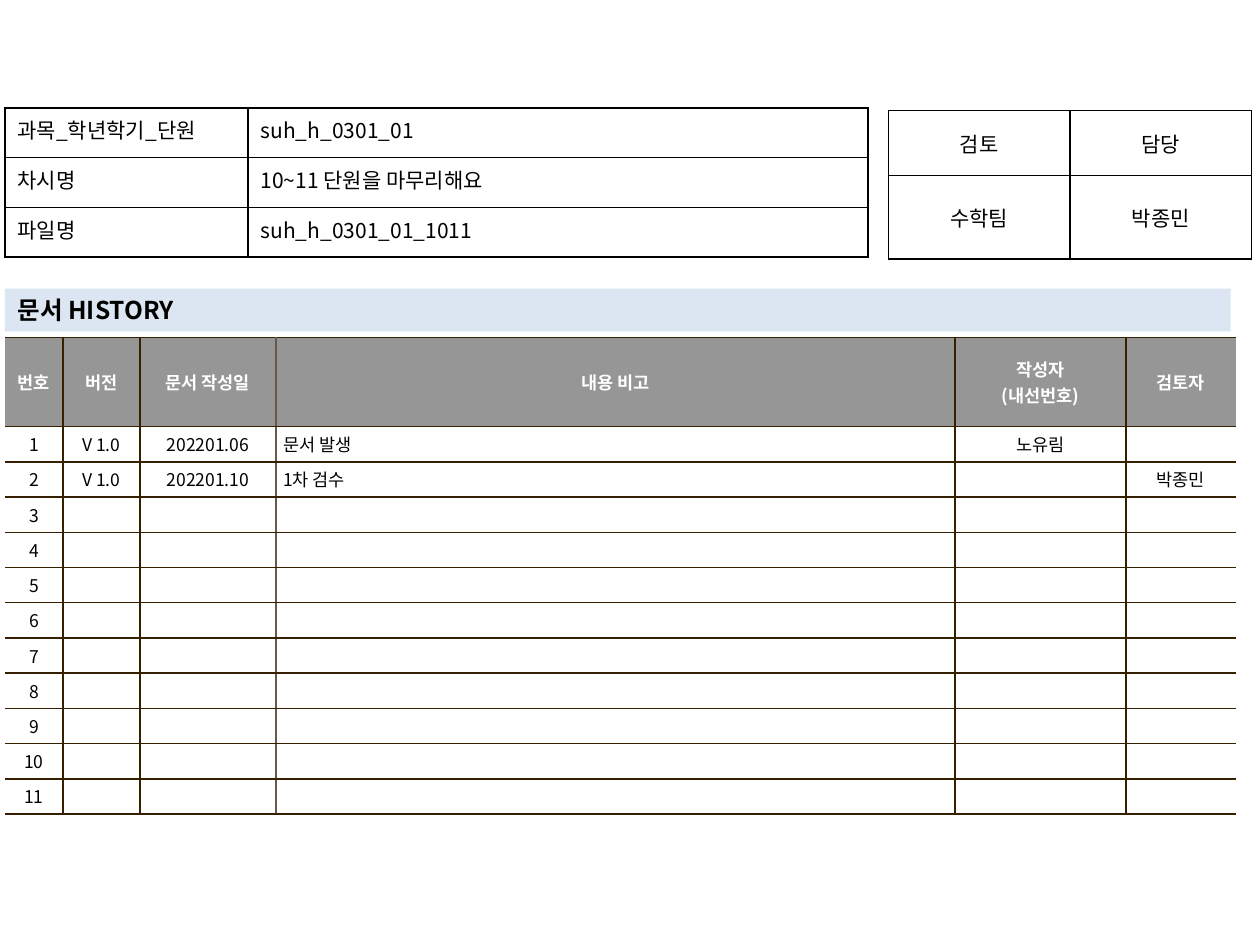
from pptx import Presentation
from pptx.dml.color import RGBColor
from pptx.enum.text import MSO_ANCHOR, MSO_AUTO_SIZE, PP_ALIGN
from pptx.oxml.ns import qn
from pptx.util import Cm, Pt
from lxml.etree import SubElement

FONT = "Noto Sans CJK KR"
BLACK = RGBColor(0x00, 0x00, 0x00)
WHITE = RGBColor(0xFF, 0xFF, 0xFF)
GRAY = RGBColor(0x96, 0x96, 0x96)
PALE_BLUE = RGBColor(0xDC, 0xE6, 0xF2)
BROWN = RGBColor(0x36, 0x20, 0x00)
TAUPE = RGBColor(0x64, 0x5B, 0x4C)

INFO = [
    ["과목_학년학기_단원", "suh_h_0301_01"],
    ["차시명", "10~11 단원을 마무리해요"],
    ["파일명", "suh_h_0301_01_1011"],
]
APPROVAL = [["검토", "담당"], ["수학팀", "박종민"]]
HEADER = ["번호", "버전", "문서 작성일", "내용 비고", "작성자\n(내선번호)", "검토자"]
ENTRIES = [
    ["V 1.0", "202201.06", "문서 발생", "노유림", ""],
    ["V 1.0", "202201.10", "1차 검수", "", "박종민"],
]
ENTRY_COUNT = 11
NOTE_COL = 3


def add_run(p, text, size, color=BLACK, bold=False):
    """Add one formatted run to a paragraph."""
    r = p.add_run()
    r.text = text
    r.font.size = Pt(size)
    r.font.name = FONT
    r.font.bold = bold
    r.font.color.rgb = color
    SubElement(r.font._element, qn("a:ea"), typeface=FONT)


def write_cell(cell, text, size, align, color=BLACK, bold=False):
    """Write the lines of a cell, keeping the text size when it is empty."""
    tf = cell.text_frame
    if not text:
        SubElement(tf.paragraphs[0]._p, qn("a:endParaRPr"), sz=str(size * 100))
        return
    for i, line in enumerate(text.split("\n")):
        p = tf.add_paragraph() if i else tf.paragraphs[0]
        p.alignment = align
        add_run(p, line, size, color, bold)


def set_borders(cell, left, right, top, bottom):
    """Draw the four cell borders, leaving out those without a colour."""
    tc_pr = cell._tc.get_or_add_tcPr()
    for side, color in zip("LRTB", (left, right, top, bottom)):
        ln = SubElement(tc_pr, qn(f"a:ln{side}"), w=str(Pt(1)))
        if color is None:
            SubElement(ln, qn("a:noFill"))
        else:
            fill = SubElement(ln, qn("a:solidFill"))
            SubElement(fill, qn("a:srgbClr"), val=str(color))


def add_grid(s, left, top, widths, heights):
    """Add a plain table with sizes in centimetres."""
    shape = s.shapes.add_table(len(heights), len(widths), Cm(left), Cm(top),
                               Cm(sum(widths)), Cm(sum(heights)))
    tbl = shape.table
    tbl.first_row = tbl.horz_banding = False
    for col, width in zip(tbl.columns, widths):
        col.width = Cm(width)
    for row, height in zip(tbl.rows, heights):
        row.height = Cm(height)
    return tbl


def add_form(s, left, top, widths, heights, rows, aligns, anchor):
    """Add a table of unfilled cells with black borders."""
    tbl = add_grid(s, left, top, widths, heights)
    for i, row in enumerate(rows):
        for j, text in enumerate(row):
            cell = tbl.cell(i, j)
            cell.vertical_anchor = anchor
            set_borders(cell, BLACK, BLACK, BLACK, BLACK)
            cell.fill.background()
            write_cell(cell, text, 12, aligns[j])


def add_history(s):
    """Add the document history table, open at its left and right."""
    widths = [1.17, 1.55, 2.74, 13.69, 3.45, 2.21]
    tbl = add_grid(s, 0.1, 6.8, widths, [1.8] + [0.71] * ENTRY_COUNT)
    edges = [None, BROWN, BROWN, TAUPE, BROWN, BROWN, None]
    blank = [""] * (len(HEADER) - 1)
    rows = [HEADER]
    for i in range(ENTRY_COUNT):
        rows.append([str(i + 1)] + (ENTRIES[i] if i < len(ENTRIES) else blank))
    for i, row in enumerate(rows):
        head = i == 0
        for j, text in enumerate(row):
            cell = tbl.cell(i, j)
            cell.vertical_anchor = MSO_ANCHOR.MIDDLE
            cell.margin_left = cell.margin_right = Cm(0.15)
            cell.margin_top = cell.margin_bottom = Cm(0.1)
            set_borders(cell, edges[j], edges[j + 1], BROWN, BROWN)
            cell.fill.solid()
            cell.fill.fore_color.rgb = GRAY if head else WHITE
            is_note = j == NOTE_COL and not head
            align = PP_ALIGN.LEFT if is_note else PP_ALIGN.CENTER
            write_cell(cell, text, 10, align, WHITE if head else BLACK, head)


def add_title(s, text):
    """Turn the title placeholder into the section band."""
    sp = s.shapes.title
    sp.left, sp.top, sp.width, sp.height = Cm(0.1), Cm(5.82), Cm(24.71), Cm(0.86)
    sp.fill.solid()
    sp.fill.fore_color.rgb = PALE_BLUE
    tf = sp.text_frame
    tf.word_wrap = True
    tf.auto_size = MSO_AUTO_SIZE.NONE
    tf.vertical_anchor = MSO_ANCHOR.MIDDLE
    p = tf.paragraphs[0]
    p.alignment = PP_ALIGN.LEFT
    add_run(p, text, 14, bold=True)


def main():
    """Build and save the slide."""
    prs = Presentation()
    prs.slide_width, prs.slide_height = Cm(25.4), Cm(19.05)
    s = prs.slides.add_slide(prs.slide_layouts[5])
    add_title(s, "문서 HISTORY")
    add_history(s)
    add_form(s, 17.91, 2.23, [3.66, 3.66], [1.31, 1.68], APPROVAL,
             [PP_ALIGN.CENTER] * 2, MSO_ANCHOR.MIDDLE)
    add_form(s, 0.1, 2.18, [4.9, 12.5], [1.0] * 3, INFO,
             [PP_ALIGN.JUSTIFY, PP_ALIGN.LEFT], MSO_ANCHOR.TOP)
    prs.save("out.pptx")


if __name__ == "__main__":
    main()
